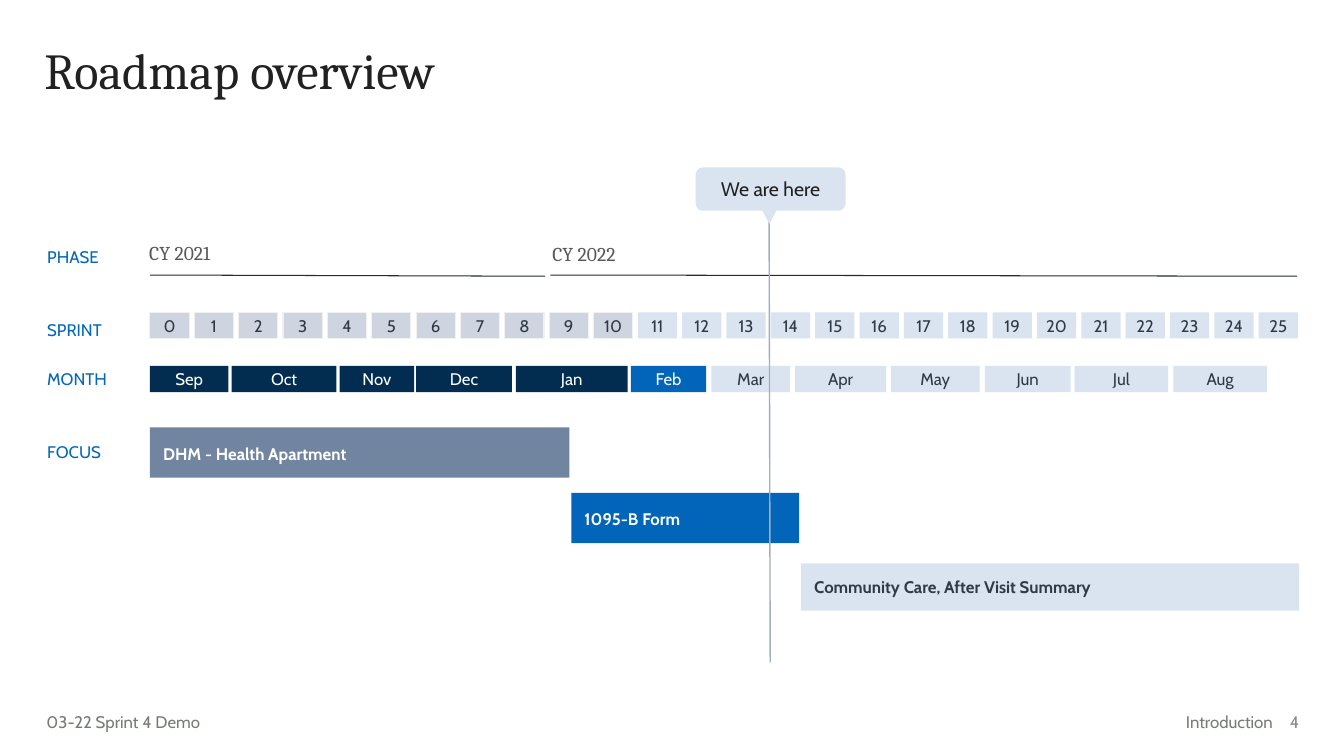
"""Build the roadmap overview slide with its sprint, month and focus timeline."""
from lxml import etree
from pptx import Presentation
from pptx.dml.color import RGBColor
from pptx.enum.shapes import MSO_CONNECTOR, MSO_SHAPE
from pptx.enum.text import MSO_ANCHOR, PP_ALIGN
from pptx.oxml.ns import qn
from pptx.util import Cm, Pt

RECTANGLE = MSO_SHAPE.RECTANGLE
ROUNDED = MSO_SHAPE.ROUNDED_RECTANGLE
TRIANGLE = MSO_SHAPE.ISOSCELES_TRIANGLE
STRAIGHT = MSO_CONNECTOR.STRAIGHT
LEFT, CENTER, RIGHT = PP_ALIGN.LEFT, PP_ALIGN.CENTER, PP_ALIGN.RIGHT
TOP, MIDDLE = MSO_ANCHOR.TOP, MSO_ANCHOR.MIDDLE

NAVY, BLUE, PALE = "022D50", "0365B9", "DAE4F0"
WHITE, DARK, BLACK = "FDFFFD", "303A46", "202120"
TIMELINE_LEFT = 3.78


def rgb(value):
    return RGBColor.from_string(value)


def add_box(kind, box, text, color, fill=None, size=12, font="Cabin", bold=False,
            align=LEFT, anchor=TOP, inset=0, spacing=None):
    box = [Cm(length) for length in box]
    if kind is None:
        shape = slide.shapes.add_textbox(*box)
    else:
        shape = slide.shapes.add_shape(kind, *box)
        shape.shadow.inherit = False
        shape.fill.solid()
        shape.fill.fore_color.rgb = rgb(fill)
        shape.line.fill.background()
    frame = shape.text_frame
    frame.word_wrap = True
    frame.vertical_anchor = anchor
    frame.margin_left = frame.margin_right = Cm(inset)
    frame.margin_top = frame.margin_bottom = Cm(inset)
    paragraph = frame.paragraphs[0]
    paragraph.text = text
    paragraph.alignment = align
    paragraph.line_spacing = spacing
    paragraph.font.name = font
    paragraph.font.size = Pt(size)
    paragraph.font.bold = bold
    paragraph.font.color.rgb = rgb(color)
    return shape


presentation = Presentation()
presentation.slide_width = Cm(33.87)
presentation.slide_height = Cm(19.05)
slide = presentation.slides.add_slide(presentation.slide_layouts[6])

add_box(None, (1.12, 1.17, 31.04, 1.83), "Roadmap overview", BLACK,
        size=36, font="Cambria", spacing=0.9)

for left, width, text, color, align in (
    (1.17, 7.3, "03-22 Sprint 4 Demo", "747C74", LEFT),
    (25.02, 7.06, "Introduction", "747C74", RIGHT),
    (32.13, 0.61, "4", "8A8A8A", RIGHT),
):
    add_box(None, (left, 17.93, width, 0.51), text, color, align=align)

for text, top in (("PHASE", 6.22), ("SPRINT", 8.05), ("MONTH", 9.3), ("FOCUS", 11.13)):
    add_box(None, (1.19, top, 1.98, 0.51), text, "0467B8")

for text, left, top in (("CY 2021", 3.76, 6.07), ("CY 2022", 13.92, 6.1)):
    add_box(None, (left, top, 7.11, 0.6), text, "565956", size=14, font="Cambria")

for number in range(26):
    past = number <= 10
    sprint = add_box(RECTANGLE, (TIMELINE_LEFT + number * 27.94 / 25, 7.87, 0.99, 0.66),
                     str(number), DARK, "CED5E0" if past else PALE,
                     align=CENTER, inset=0.08)
    if past:
        sprint.line.color.rgb = rgb("F0F1F0")
        sprint.line.width = Pt(0.75)

for month, left, width, fill, color in (
    ("Sep", TIMELINE_LEFT, 1.98, NAVY, WHITE),
    ("Oct", 5.84, 2.64, NAVY, WHITE),
    ("Nov", 8.56, 1.88, NAVY, WHITE),
    ("Dec", 10.49, 2.41, NAVY, WHITE),
    ("Jan", 13, 2.82, NAVY, WHITE),
    ("Feb", 15.9, 1.9, BLUE, WHITE),
    ("Mar", 17.93, 1.98, PALE, DARK),
    ("Apr", 20.04, 2.29, PALE, DARK),
    ("May", 22.45, 2.24, PALE, DARK),
    ("Jun", 24.82, 2.16, PALE, DARK),
    ("Jul", 27.08, 2.36, PALE, DARK),
    ("Aug", 29.57, 2.36, PALE, DARK),
):
    add_box(RECTANGLE, (left, 9.22, width, 0.66), month, color, fill,
            align=CENTER, inset=0.08)

for text, box, fill, color, spacing in (
    ("DHM - Health Apartment", (TIMELINE_LEFT, 10.77, 10.57, 1.27), "7185A0", "FFFFFF", 1.15),
    ("1095-B Form", (14.4, 12.42, 5.74, 1.27), BLUE, WHITE, 1.15),
    ("Community Care, After Visit Summary", (20.19, 14.2, 12.55, 1.19), PALE, DARK, 1),
):
    add_box(RECTANGLE, box, text, color, fill, bold=True, inset=0.33, spacing=spacing)

for start_x, start_y, end_x, end_y, color, width in (
    (TIMELINE_LEFT, 6.93, 13.74, 6.96, "232B34", 0.75),
    (13.87, 6.93, 32.69, 6.96, "232B34", 0.75),
    (19.38, 4.83, 19.41, 16.69, "A1AEBF", 1),
):
    line = slide.shapes.add_connector(STRAIGHT, Cm(start_x), Cm(start_y), Cm(end_x), Cm(end_y))
    line.line.color.rgb = rgb(color)
    line.line.width = Pt(width)
    etree.SubElement(line._element.spPr, qn("a:effectLst"))

callout = add_box(ROUNDED, (17.53, 4.22, 3.78, 1.09), "We are here", BLACK, PALE,
                  size=14, align=CENTER, anchor=MIDDLE, inset=0.13)
callout.adjustments[0] = 0.167

pointer = slide.shapes.add_shape(TRIANGLE, Cm(19.2), Cm(5.28), Cm(0.38), Cm(0.36))
pointer.rotation = 180
pointer.shadow.inherit = False
pointer.fill.solid()
pointer.fill.fore_color.rgb = rgb(PALE)
pointer.line.fill.background()

presentation.save("out.pptx")
